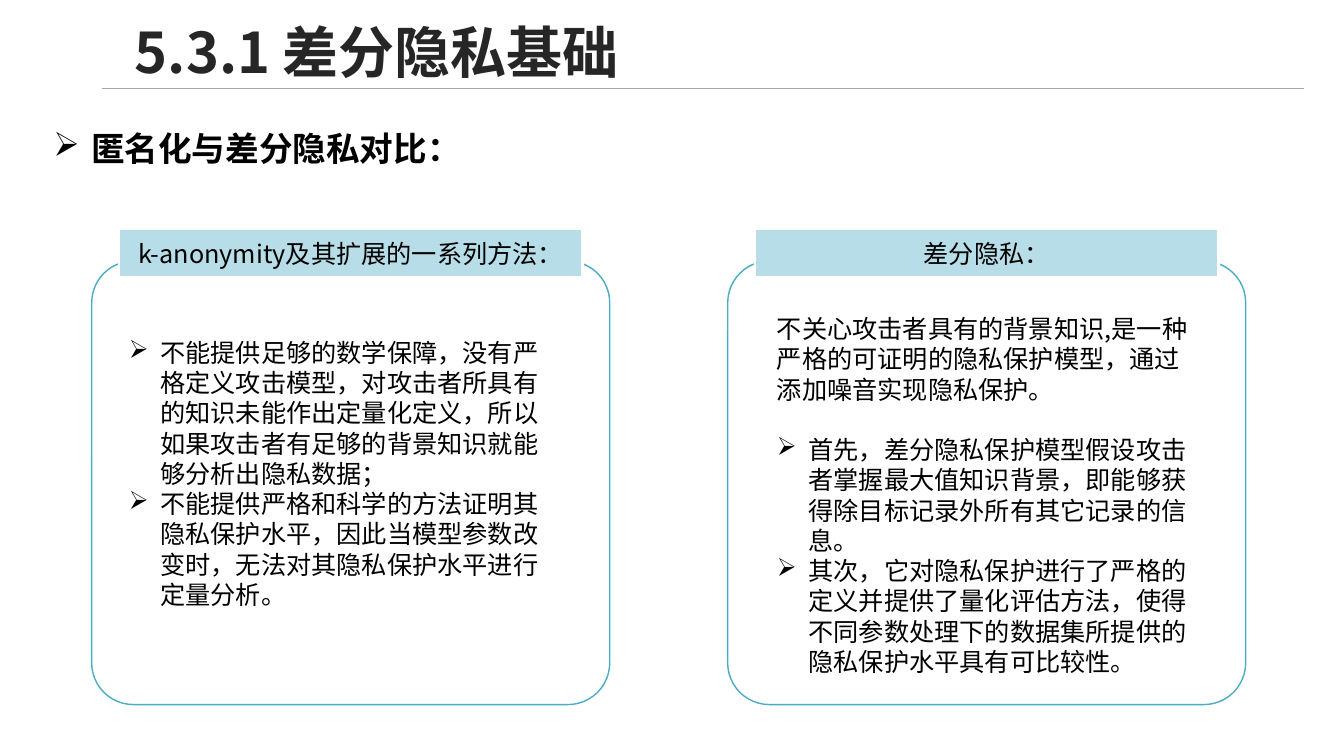
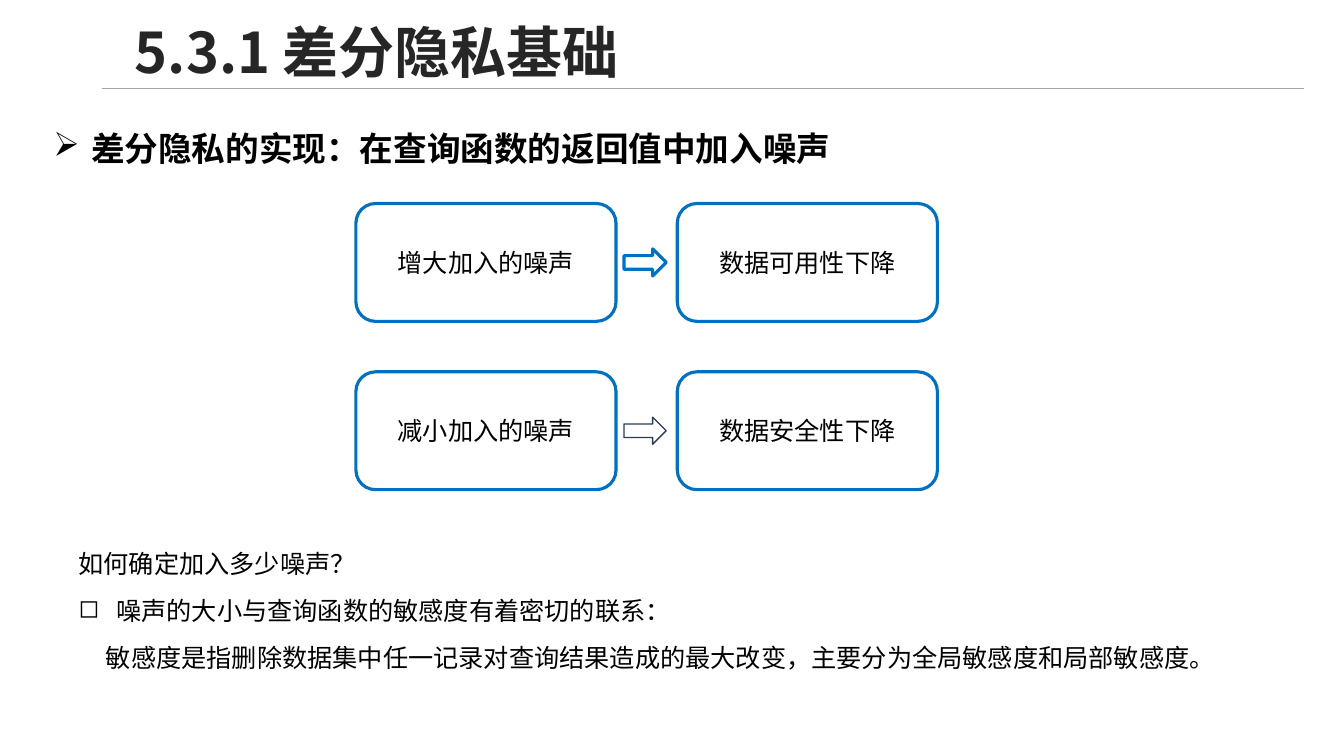
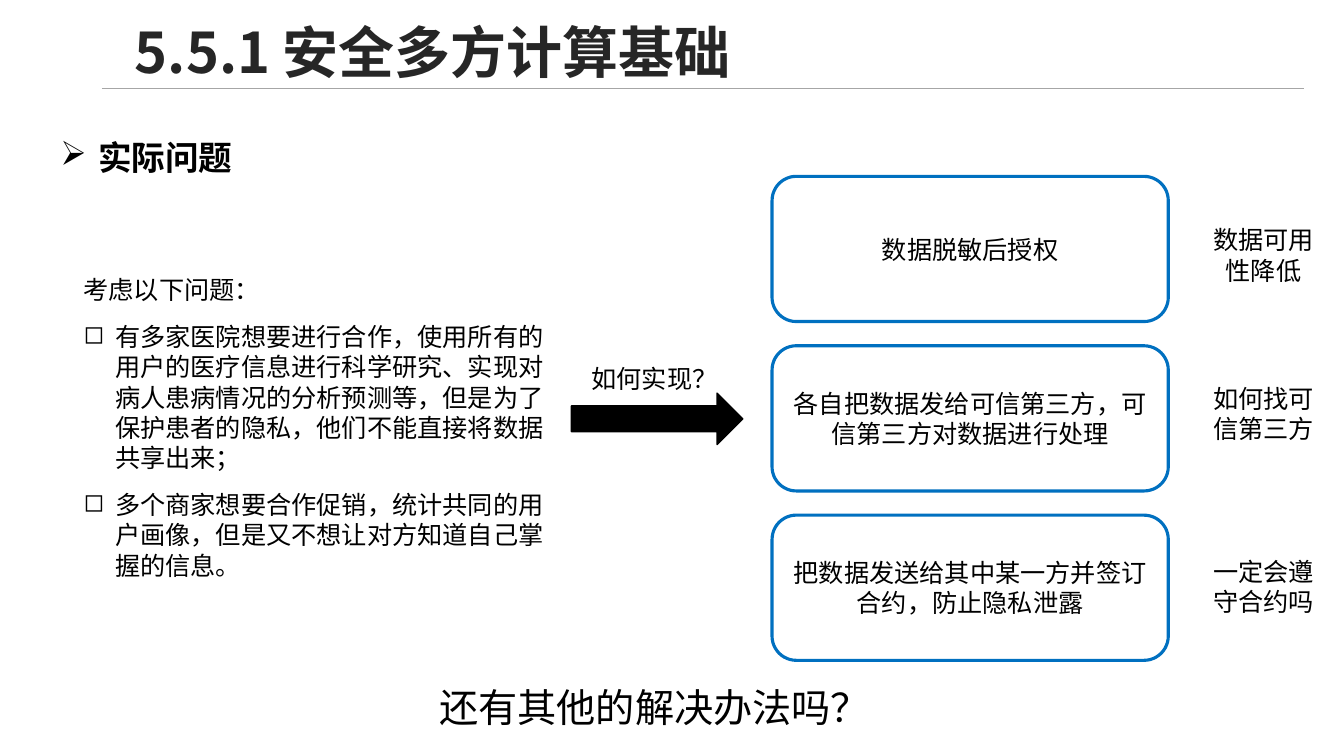
from lxml.etree import SubElement
from pptx import Presentation
from pptx.dml.color import RGBColor
from pptx.enum.lang import MSO_LANGUAGE_ID
from pptx.enum.shapes import MSO_CONNECTOR, MSO_SHAPE
from pptx.enum.text import MSO_ANCHOR, PP_ALIGN
from pptx.oxml.ns import qn
from pptx.util import Pt

FONT = "Noto Sans CJK SC"
BLACK, WHITE, BLUE = "000000", "FFFFFF", "0070C0"
TITLE_INK, RULE_GREY = "262626", "A6A6A6"
TEAL, PALE_TEAL, NAVY = "4BACC6", "B7DEE8", "2A3D52"
BODY_SIZE = 18
ARROWHEAD, SQUARE = "➢", "◻"
CENTER = {"alignment": PP_ALIGN.CENTER}
AFTER = {"space_after": Pt(12)}


def colour(hex_value):
    return RGBColor.from_string(hex_value)


def apply(target, formats):
    for name, value in formats.items():
        setattr(target, name, value)


def item(text, bullet=None, hanging=0, left=None, **formats):
    """Describe one paragraph; a hanging indent holds its bullet."""
    return {"text": text, "bullet": bullet, "hanging": hanging,
            "left": hanging if left is None else left, "formats": formats}


def write(frame, items, size=BODY_SIZE, ink=BLACK, bold=False,
          anchor=MSO_ANCHOR.TOP):
    apply(frame, {"word_wrap": True, "vertical_anchor": anchor})
    for index, entry in enumerate(items):
        paragraph = frame.paragraphs[0] if index == 0 else frame.add_paragraph()
        properties = paragraph._p.get_or_add_pPr()
        properties.set("marL", str(Pt(entry["left"])))
        properties.set("indent", str(-Pt(entry["hanging"])))
        if entry["bullet"]:
            SubElement(properties, qn("a:buChar"), char=entry["bullet"])
        apply(paragraph, entry["formats"])
        run = paragraph.add_run()
        run.text = entry["text"]
        apply(run.font, {"name": FONT, "size": Pt(size), "bold": bold,
                         "language_id": MSO_LANGUAGE_ID.SIMPLIFIED_CHINESE})
        run.font.color.rgb = colour(ink)
        SubElement(run.font._element, qn("a:ea"), typeface=FONT)


def add_text(slide, box, items, **style):
    textbox = slide.shapes.add_textbox(*map(Pt, box))
    write(textbox.text_frame, items, **style)


def add_block(slide, kind, box, text=None, fill=WHITE, line=BLUE, width=2.25):
    block = slide.shapes.add_shape(kind, *map(Pt, box))
    block.shadow.inherit = False
    block.fill.solid()
    block.fill.fore_color.rgb = colour(fill)
    block.line.color.rgb = colour(line)
    block.line.width = Pt(width)
    if text:
        write(block.text_frame, [item(text, **CENTER)], anchor=MSO_ANCHOR.MIDDLE)
    return block


def start_slide(deck, title, heading, heading_at=(31, 73.4)):
    """Add a slide with the shared title, rule and bulleted heading."""
    slide = deck.slides.add_slide(deck.slide_layouts[6])
    rule = slide.shapes.add_connector(
        MSO_CONNECTOR.STRAIGHT, Pt(72.7), Pt(63.4), Pt(931.7), Pt(63.4))
    rule.line.color.rgb = colour(RULE_GREY)
    rule.line.width = Pt(1)
    SubElement(rule._element.spPr, qn("a:effectLst"))
    add_text(slide, (89.3, 10.8, 836, 56.9), [item(title, line_spacing=0.9)],
             size=40, ink=TITLE_INK, bold=True, anchor=MSO_ANCHOR.MIDDLE)
    add_text(slide, (*heading_at, 609, 46),
             [item(heading, ARROWHEAD, 27, line_spacing=1.5)], size=24, bold=True)
    return slide


def add_panel(slide, box, label, points, inset, body_top, body_height):
    left, top, width, height = box
    panel = add_block(slide, MSO_SHAPE.ROUNDED_RECTANGLE, box, line=TEAL, width=1)
    panel.adjustments[0] = 0.094
    add_text(slide, (left + inset, top + body_top, 314, body_height), points,
             anchor=MSO_ANCHOR.MIDDLE)
    add_block(slide, MSO_SHAPE.RECTANGLE, (left + 19.4, top - 23, width - 38.8, 34.6),
              label, fill=PALE_TEAL, line=WHITE, width=1.5)


def add_effect_row(slide, left, top, cause, effect, arrow_line, arrow_width):
    """Place a cause box, an arrow and an effect box side by side."""
    width, height, pitch = 185.8, 84.2, 229.6
    for column, text in enumerate((cause, effect)):
        add_block(slide, MSO_SHAPE.ROUNDED_RECTANGLE,
                  (left + column * pitch, top, width, height), text)
    add_block(slide, MSO_SHAPE.RIGHT_ARROW,
              (left + 191.5, top + (height - 19.4) / 2, 30.2, 19.4),
              line=arrow_line, width=arrow_width)


def add_options(slide, left, top, options):
    """Stack the options, each with its drawback to the right."""
    width, height, pitch = 283, 103.7, 121
    for row, (option, drawback, drawback_top) in enumerate(options):
        option_top = top + row * pitch
        add_block(slide, MSO_SHAPE.ROUNDED_RECTANGLE,
                  (left, option_top, width, height), option)
        add_text(slide, (left + 305.3, option_top + drawback_top, 91.4, 51),
                 [item(drawback, **CENTER)])


def comparison_slide(deck):
    slide = start_slide(deck, "5.3.1 差分隐私基础", "匿名化与差分隐私对比：")
    anonymity = [
        item("不能提供足够的数学保障，没有严格定义攻击模型，对攻击者所具有的知识未能作出定量化定义，所以如果攻击者有足够的背景知识就能够分析出隐私数据；",
             ARROWHEAD, 22.5),
        item("不能提供严格和科学的方法证明其隐私保护水平，因此当模型参数改变时，无法对其隐私保护水平进行定量分析。",
             ARROWHEAD, 22.5),
    ]
    privacy = [
        item("不关心攻击者具有的背景知识,是一种严格的可证明的隐私保护模型，通过添加噪音实现隐私保护。"),
        item("首先，差分隐私保护模型假设攻击者掌握最大值知识背景，即能够获得除目标记录外所有其它记录的信息。",
             ARROWHEAD, 22.5, space_before=Pt(21.6)),
        item("其次，它对隐私保护进行了严格的定义并提供了量化评估方法，使得不同参数处理下的数据集所提供的隐私保护水平具有可比较性。",
             ARROWHEAD, 22.5),
    ]
    add_panel(slide, (65.5, 186.5, 370, 316.8), "k-anonymity及其扩展的一系列方法：",
              anonymity, 19.4, 49.7, 203.8)
    add_panel(slide, (519.8, 186.5, 370, 316.8), "差分隐私：",
              privacy, 28.1, 32.4, 269.3)


def noise_slide(deck):
    slide = start_slide(deck, "5.3.1 差分隐私基础",
                        "差分隐私的实现：在查询函数的返回值中加入噪声")
    add_text(slide, (49, 388, 818, 97.2), [
        item("如何确定加入多少噪声？", **AFTER),
        item("噪声的大小与查询函数的敏感度有着密切的联系：", SQUARE, 27, **AFTER),
        item("敏感度是指删除数据集中任一记录对查询结果造成的最大改变，主要分为全局敏感度和局部敏感度。",
             left=19.6, **AFTER),
    ])
    add_effect_row(slide, 254.2, 145.4, "增大加入的噪声", "数据可用性下降", BLUE, 2.25)
    add_effect_row(slide, 254.2, 265.6, "减小加入的噪声", "数据安全性下降", NAVY, 1)


def problem_slide(deck):
    slide = start_slide(deck, "5.5.1 安全多方计算基础", "实际问题", (36, 79.9))
    add_text(slide, (52.6, 191.5, 355.7, 227.5), [
        item("考虑以下问题：", **AFTER),
        item("有多家医院想要进行合作，使用所有的用户的医疗信息进行科学研究、实现对病人患病情况的分析预测等，但是为了保护患者的隐私，他们不能直接将数据共享出来；",
             SQUARE, 22.5, **AFTER),
        item("多个商家想要合作促销，统计共同的用户画像，但是又不想让对方知道自己掌握的信息。",
             SQUARE, 22.5, **AFTER),
    ], anchor=MSO_ANCHOR.MIDDLE)
    add_block(slide, MSO_SHAPE.RIGHT_ARROW, (408.2, 280.8, 122.4, 36.7),
              fill=BLACK, line=BLACK, width=1)
    add_text(slide, (415.4, 255.6, 110, 29), [item("如何实现？")])
    add_options(slide, 551.5, 126, [
        ("数据脱敏后授权", "数据可用性降低", 31),
        ("各自把数据发给可信第三方，可信第三方对数据进行处理", "如何找可信第三方", 23),
        ("把数据发送给其中某一方并签订合约，防止隐私泄露", "一定会遵守合约吗", 25.8),
    ])
    add_text(slide, (280.8, 484.6, 373.7, 41),
             [item("还有其他的解决办法吗？", **CENTER)], size=28)


def main():
    deck = Presentation()
    apply(deck, {"slide_width": Pt(960), "slide_height": Pt(540)})
    comparison_slide(deck)
    noise_slide(deck)
    problem_slide(deck)
    deck.save("out.pptx")


if __name__ == "__main__":
    main()
